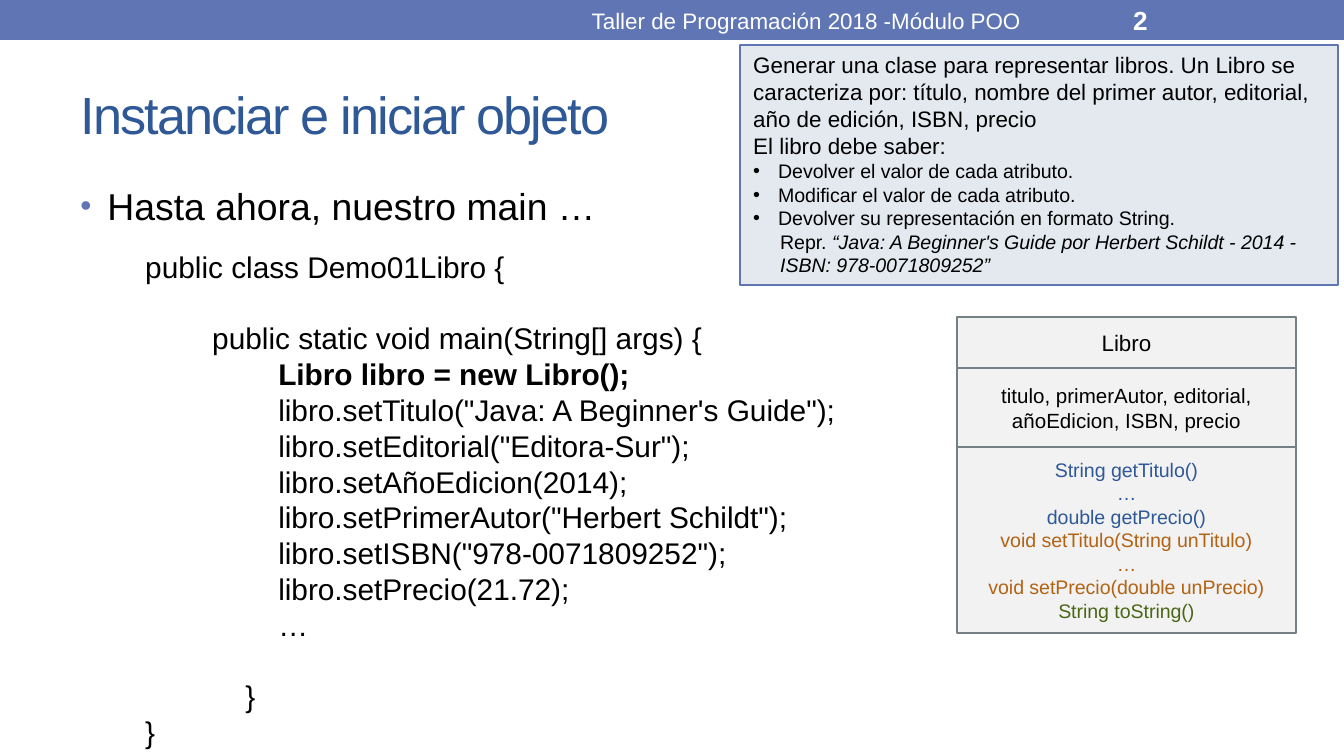
from lxml.etree import SubElement
from pptx import Presentation
from pptx.dml.color import RGBColor
from pptx.enum.shapes import MSO_SHAPE
from pptx.enum.text import MSO_ANCHOR as ANCHOR, MSO_AUTO_SIZE as FIT, PP_ALIGN as ALIGN
from pptx.oxml.ns import qn
from pptx.util import Emu, Pt

PX = 914400 / 134.4
COLORS = {
    "blue": "6076B4", "navy": "2F5897", "black": "000000", "white": "FFFFFF",
    "pale": "E4E9EF", "light": "F2F2F2", "gray": "758085",
    "orange": "B26314", "green": "4A6717",
}


def write(tf, text, size=12, color="black", bold=False, italic=False, align=ALIGN.LEFT,
          left=0, hang=0, before=0, spacing=0, bullet=None, same_line=False):
    """Add a formatted paragraph, or a run on the last one; left and hang are pixels."""
    p = tf.paragraphs[-1]
    if p.runs and not same_line:
        p = tf.add_paragraph()
    r = p.add_run()
    r.text = text
    r.font.name, r.font.size = "Arial", Pt(size)
    r.font.bold, r.font.italic = bold, italic
    r.font.color.rgb = RGBColor.from_string(COLORS[color])
    if spacing:
        r.font._element.set("spc", str(spacing * 100))
    if same_line:
        return
    p.alignment, p.space_before = align, Pt(before)
    pPr = p._p.get_or_add_pPr()
    pPr.set("marL", str(round(left * PX)))
    pPr.set("indent", str(round(-hang * PX)))
    if bullet:
        clr = SubElement(pPr, qn("a:buClr"))
        SubElement(clr, qn("a:srgbClr"), val=COLORS[bullet])
        SubElement(pPr, qn("a:buSzPct"), val="85000" if bullet == "blue" else "100000")
        SubElement(pPr, qn("a:buFont"), typeface="Arial")
        SubElement(pPr, qn("a:buChar"), char="•")


def place(sp, box, fill=None, line=None, anchor=ANCHOR.MIDDLE):
    """Position a shape in pixels, style it and return its text frame."""
    sp.left, sp.top, sp.width, sp.height = [Emu(round(v * PX)) for v in box]
    if fill:
        sp.shadow.inherit = False
        sp.fill.solid()
        sp.fill.fore_color.rgb = RGBColor.from_string(COLORS[fill])
        if line:
            sp.line.color.rgb = RGBColor.from_string(COLORS[line])
            sp.line.width = Pt(0.75)
        else:
            sp.line.fill.background()
    tf = sp.text_frame
    tf.word_wrap, tf.auto_size, tf.vertical_anchor = True, FIT.NONE, anchor
    return tf


prs = Presentation()
prs.slide_width, prs.slide_height = Emu(round(1344 * PX)), Emu(round(756 * PX))
slide = prs.slides.add_slide(prs.slide_layouts[1])
shapes = slide.shapes
title, body = slide.placeholders

# Header band
place(shapes.add_shape(MSO_SHAPE.RECTANGLE, 0, 0, 0, 0), (0, 0, 1344, 40), "blue")
course = place(shapes.add_textbox(0, 0, 0, 0), (504, 2, 605, 37))
write(course, "Taller de Programación 2018 -Módulo POO", color="white", align=ALIGN.CENTER)
number = place(shapes.add_textbox(0, 0, 0, 0), (1120, 2, 157, 37))
write(number, "2", size=14, color="white", bold=True)

# Title and lead-in
write(place(title, (67, 59, 1210, 109)), "Instanciar e iniciar objeto",
      size=28, color="navy", spacing=-1)
write(place(body, (67, 176, 1210, 538), anchor=ANCHOR.TOP), "Hasta ahora, nuestro main …",
      size=20, left=27, hang=27, before=4, bullet="blue")

# Code: text, indent in pixels, space before in points
code = place(shapes.add_textbox(0, 0, 0, 0), (132, 242, 1027, 520), anchor=ANCHOR.TOP)
STATEMENTS = [
    "libro.setTitulo(\"Java: A Beginner's Guide\");",
    'libro.setEditorial("Editora-Sur");',
    "libro.setAñoEdicion(2014);",
    'libro.setPrimerAutor("Herbert Schildt");',
    'libro.setISBN("978-0071809252");',
    "libro.setPrecio(21.72);",
    "…",
]
GAP = 19
write(code, "public class Demo01Libro {", size=16)
write(code, "public static void main(String[] args) {", size=16, left=67, before=GAP)
write(code, "Libro libro = new Libro();", size=16, left=133, bold=True)
for statement in STATEMENTS:
    write(code, statement, size=16, left=133)
write(code, "}", size=16, left=100, before=GAP)
write(code, "}", size=16)

# Problem statement
task = place(shapes.add_shape(MSO_SHAPE.RECTANGLE, 0, 0, 0, 0), (740, 45, 598, 240),
             "pale", "blue", ANCHOR.TOP)
write(task, "Generar una clase para representar libros. Un Libro se caracteriza por: título, "
            "nombre del primer autor, editorial, año de edición, ISBN, precio")
write(task, "El libro debe saber:")
for duty in ("Devolver el valor de cada atributo.", "Modificar el valor de cada atributo.",
             "Devolver su representación en formato String."):
    write(task, duty, size=10.5, left=25, hang=25, bullet="black")
write(task, "Repr. ", size=10.5, left=27)
write(task, "“Java: A Beginner's Guide por Herbert Schildt - 2014 -",
      size=10.5, italic=True, same_line=True)
write(task, "ISBN: 978-0071809252”", size=10.5, italic=True, left=27)

# Class diagram: height, text size, lines with their colours
CLASS_BOXES = [
    (51, 12, [("Libro", "black")]),
    (79, 11, [("titulo, primerAutor, editorial, añoEdicion, ISBN, precio", "black")]),
    (186, 10.5, [
        ("String getTitulo()", "navy"), ("…", "navy"), ("double getPrecio()", "navy"),
        ("void setTitulo(String unTitulo)", "orange"), ("…", "orange"),
        ("void setPrecio(double unPrecio)", "orange"), ("String toString()", "green"),
    ]),
]
top = 317
for height, size, lines in CLASS_BOXES:
    tf = place(shapes.add_shape(MSO_SHAPE.RECTANGLE, 0, 0, 0, 0), (957, top, 339, height),
               "light", "gray")
    for text, color in lines:
        write(tf, text, size=size, color=color, align=ALIGN.CENTER)
    top += height

prs.save("out.pptx")
